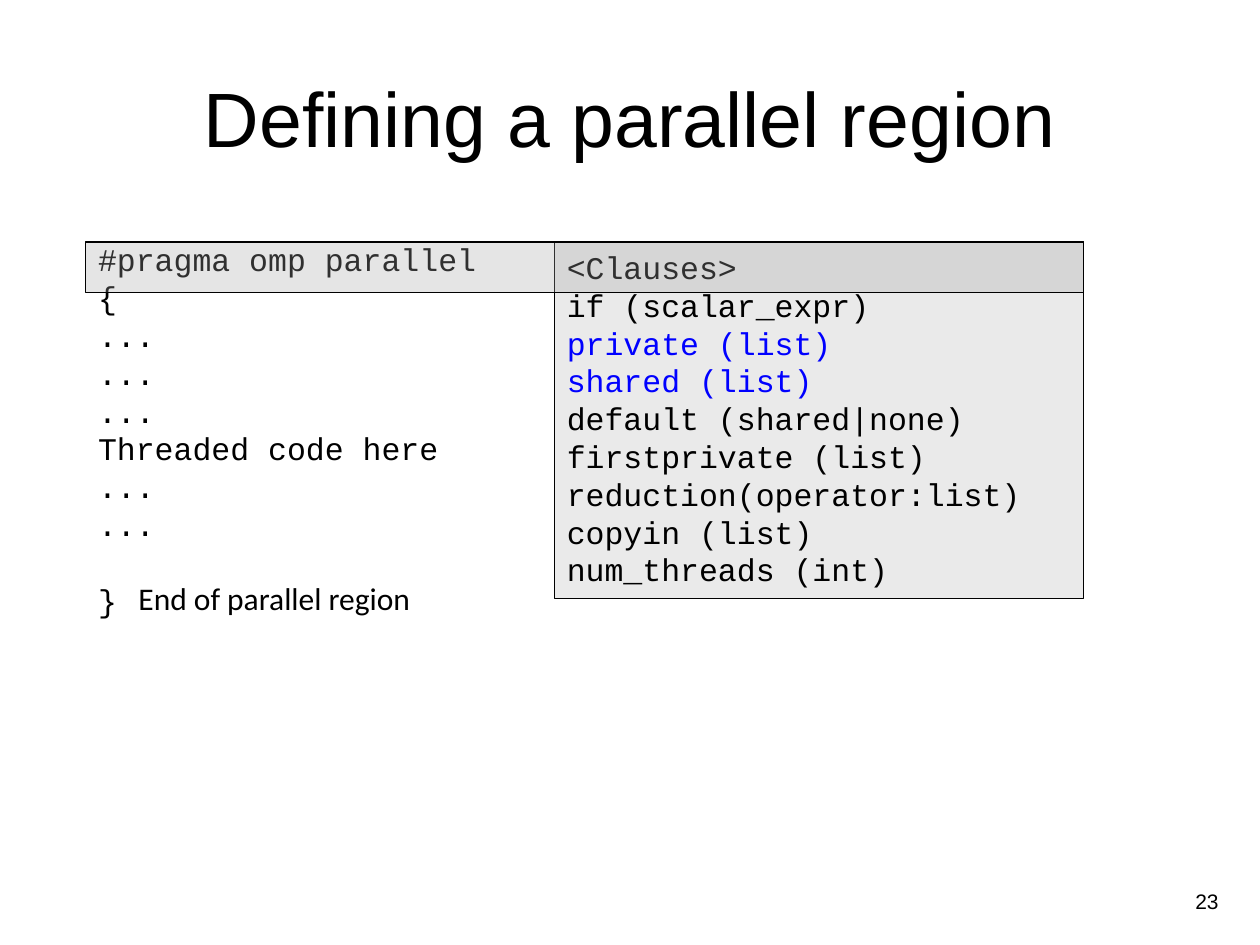
from dataclasses import dataclass

from lxml import etree
from pptx import Presentation
from pptx.dml.color import RGBColor
from pptx.enum.shapes import MSO_SHAPE
from pptx.enum.text import MSO_ANCHOR, PP_ALIGN
from pptx.oxml.ns import qn
from pptx.util import Inches, Pt

RECTANGLE = MSO_SHAPE.RECTANGLE
TOP, MIDDLE = MSO_ANCHOR.TOP, MSO_ANCHOR.MIDDLE
LEFT, CENTER, RIGHT = PP_ALIGN.LEFT, PP_ALIGN.CENTER, PP_ALIGN.RIGHT


@dataclass(frozen=True)
class Theme:
    """Colours, fonts and type sizes of the slide."""
    ink: RGBColor = RGBColor(0x00, 0x00, 0x00)
    highlight: RGBColor = RGBColor(0x00, 0x00, 0xFF)
    panel: RGBColor = RGBColor(0xA6, 0xA6, 0xA6)
    heading_font: str = "Arial"
    note_font: str = "Calibri"
    code_font: str = "Courier New"
    title_size: Pt = Pt(44)
    body_size: Pt = Pt(18)
    number_size: Pt = Pt(12)
    code_pitch: Pt = Pt(21.6)
    border: Pt = Pt(0.75)


THEME = Theme()

REGION_CODE = ["#pragma omp parallel", "{", "...", "...", "...",
               "Threaded code here", "...", "...", "}"]
CLAUSES = ["<Clauses>", "if (scalar_expr)", "private (list)", "shared (list)",
           "default (shared|none)", "firstprivate (list)",
           "reduction(operator:list)", "copyin (list)", "num_threads (int)"]
HIGHLIGHTED = {"private (list)", "shared (list)"}


def write(frame, lines, font, size, align=LEFT, anchor=TOP):
    """Fill a text frame with one paragraph per line and format it."""
    frame.text = "\n".join(lines)
    frame.vertical_anchor = anchor
    for paragraph in frame.paragraphs:
        paragraph.alignment = align
        for run in paragraph.runs:
            run.font.name = font
            run.font.size = size
            run.font.color.rgb = THEME.highlight if run.text in HIGHLIGHTED else THEME.ink


def write_code(frame, lines):
    """Write code lines at an even pitch."""
    write(frame, lines, THEME.code_font, THEME.body_size)
    for paragraph in frame.paragraphs:
        paragraph.line_spacing = THEME.code_pitch


def add_box(slide, left, top, width, height, wrap=True):
    """Add an empty text box and return its text frame."""
    box = slide.shapes.add_textbox(Inches(left), Inches(top), Inches(width), Inches(height))
    box.text_frame.word_wrap = wrap
    return box.text_frame


def add_panel(slide, left, top, width, height, opacity):
    """Add a translucent bordered rectangle and return its text frame."""
    panel = slide.shapes.add_shape(
        RECTANGLE, Inches(left), Inches(top), Inches(width), Inches(height))
    panel.shadow.inherit = False
    panel.fill.solid()
    panel.fill.fore_color.rgb = THEME.panel
    tint = panel.fill._xPr.find(qn("a:solidFill"))[0]
    etree.SubElement(tint, qn("a:alpha"), val=str(opacity * 1000))
    panel.line.color.rgb = THEME.ink
    panel.line.width = THEME.border
    return panel.text_frame


def main():
    """Build the slide and save it."""
    deck = Presentation()
    deck.slide_width, deck.slide_height = Inches(10), Inches(7.5)
    slide = deck.slides.add_slide(deck.slide_layouts[6])

    write(add_box(slide, 0.5, 0.3, 9, 1.25), ["Defining a parallel region"],
          THEME.heading_font, THEME.title_size, CENTER, MIDDLE)
    write(add_box(slide, 9.12, 6.95, 0.65, 0.4), ["23"],
          THEME.heading_font, THEME.number_size, RIGHT, MIDDLE)
    write(add_box(slide, 1, 4.55, 2.39, 0.4, wrap=False), ["End of parallel region"],
          THEME.note_font, THEME.body_size)

    region = add_box(slide, 0.68, 1.86, 3.23, 3.13, wrap=False)
    write_code(region, REGION_CODE)
    region.paragraphs[-1].space_before = THEME.code_pitch

    write_code(add_panel(slide, 4.4, 1.92, 4.2, 2.83, opacity=23), CLAUSES)
    add_panel(slide, 0.68, 1.92, 7.92, 0.4, opacity=29)

    deck.save("out.pptx")


if __name__ == "__main__":
    main()
